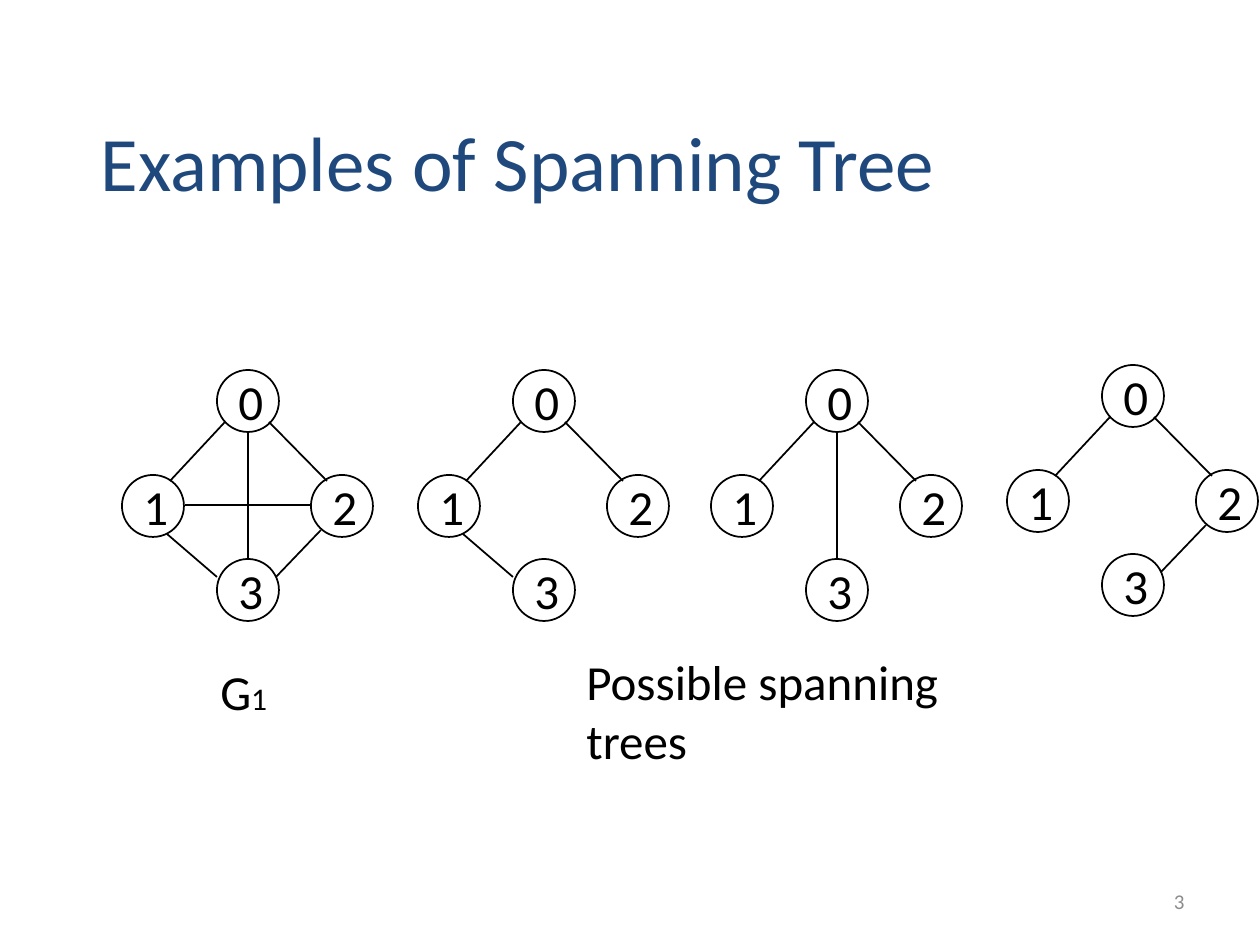
from pptx import Presentation
from pptx.dml.color import RGBColor
from pptx.enum.shapes import MSO_CONNECTOR, MSO_SHAPE
from pptx.enum.text import MSO_ANCHOR, MSO_AUTO_SIZE, PP_ALIGN
from pptx.oxml.ns import qn
from pptx.util import Emu, Pt
from lxml.etree import SubElement

PX = 914400 / 126
BLACK = RGBColor(0x00, 0x00, 0x00)
WHITE = RGBColor(0xFF, 0xFF, 0xFF)
NAVY = RGBColor(0x1F, 0x49, 0x7D)
GREY = RGBColor(0x8C, 0x8C, 0x8C)

NODE_SIZE = 62
# Offsets from the left of node 1 and the top of node 0
NODES = {"0": (95, 0), "1": (0, 105), "2": (189, 105), "3": (95, 189)}
EDGES = {
    "03": (126, 62, 126, 188),
    "12": (63, 135, 189, 135),
    "01": (103, 52, 48, 111),
    "02": (147, 52, 205, 111),
    "13": (45, 164, 95, 207),
    "23": (199, 160, 154, 207),
}
GRAPHS = [
    (122, 370, ["03", "12", "01", "02", "13", "23"]),
    (418, 370, ["01", "02", "13"]),
    (711, 370, ["03", "01", "02"]),
    (1007, 365, ["01", "02", "23"]),
]


def px(*lengths):
    return [Emu(round(length * PX)) for length in lengths]


def set_text(shape, runs, color=BLACK, align=PP_ALIGN.LEFT, **frame_format):
    """Write (text, size) runs into one paragraph and format its frame."""
    frame = shape.text_frame
    for name, value in frame_format.items():
        setattr(frame, name, value)
    paragraph = frame.paragraphs[0]
    paragraph.alignment = align
    for text, size in runs:
        run = paragraph.add_run()
        run.text = text
        for name, value in {"name": "Calibri", "size": Pt(size)}.items():
            setattr(run.font, name, value)
        run.font.color.rgb = color


def add_title(slide, text):
    title = slide.shapes.title
    title.left, title.top, title.width, title.height = px(88, 82, 1172, 157)
    set_text(title, [(text, 44)], NAVY, vertical_anchor=MSO_ANCHOR.MIDDLE,
             auto_size=MSO_AUTO_SIZE.NONE)


def add_label(slide, box, runs, **text_format):
    set_text(slide.shapes.add_textbox(*px(*box)), runs, **text_format)


def add_node(slide, left, top, number):
    node = slide.shapes.add_shape(
        MSO_SHAPE.OVAL, *px(left, top, NODE_SIZE, NODE_SIZE))
    node.shadow.inherit = False
    node.fill.solid()
    node.fill.fore_color.rgb = WHITE
    node.line.color.rgb = BLACK
    node.line.width = Pt(1)
    set_text(node, [(number, 28)], word_wrap=False,
             vertical_anchor=MSO_ANCHOR.MIDDLE)


def add_edge(slide, x1, y1, x2, y2):
    edge = slide.shapes.add_connector(
        MSO_CONNECTOR.STRAIGHT, *px(x1, y1, x2, y2))
    edge.line.color.rgb = BLACK
    edge.line.width = Pt(1)
    SubElement(edge._element.spPr, qn("a:effectLst"))


def add_graph(slide, left, top, edges):
    for number, (dx, dy) in NODES.items():
        add_node(slide, left + dx, top + dy, number)
    for name in edges:
        x1, y1, x2, y2 = EDGES[name]
        add_edge(slide, left + x1, top + y1, left + x2, top + y2)


def main():
    prs = Presentation()
    prs.slide_width, prs.slide_height = px(1260, 945)
    slide = prs.slides.add_slide(prs.slide_layouts[5])

    add_title(slide, "Examples of Spanning Tree")
    for left, top, edges in GRAPHS:
        add_graph(slide, left, top, edges)
    add_label(slide, (208, 655, 77, 72), [("G", 28), ("1", 18)],
              word_wrap=False)
    add_label(slide, (574, 645, 482, 72), [("Possible spanning trees", 28)],
              word_wrap=True)
    add_label(slide, (903, 876, 294, 50), [("3", 12)], color=GREY,
              align=PP_ALIGN.RIGHT, vertical_anchor=MSO_ANCHOR.MIDDLE,
              word_wrap=True)

    prs.save("out.pptx")


if __name__ == "__main__":
    main()
